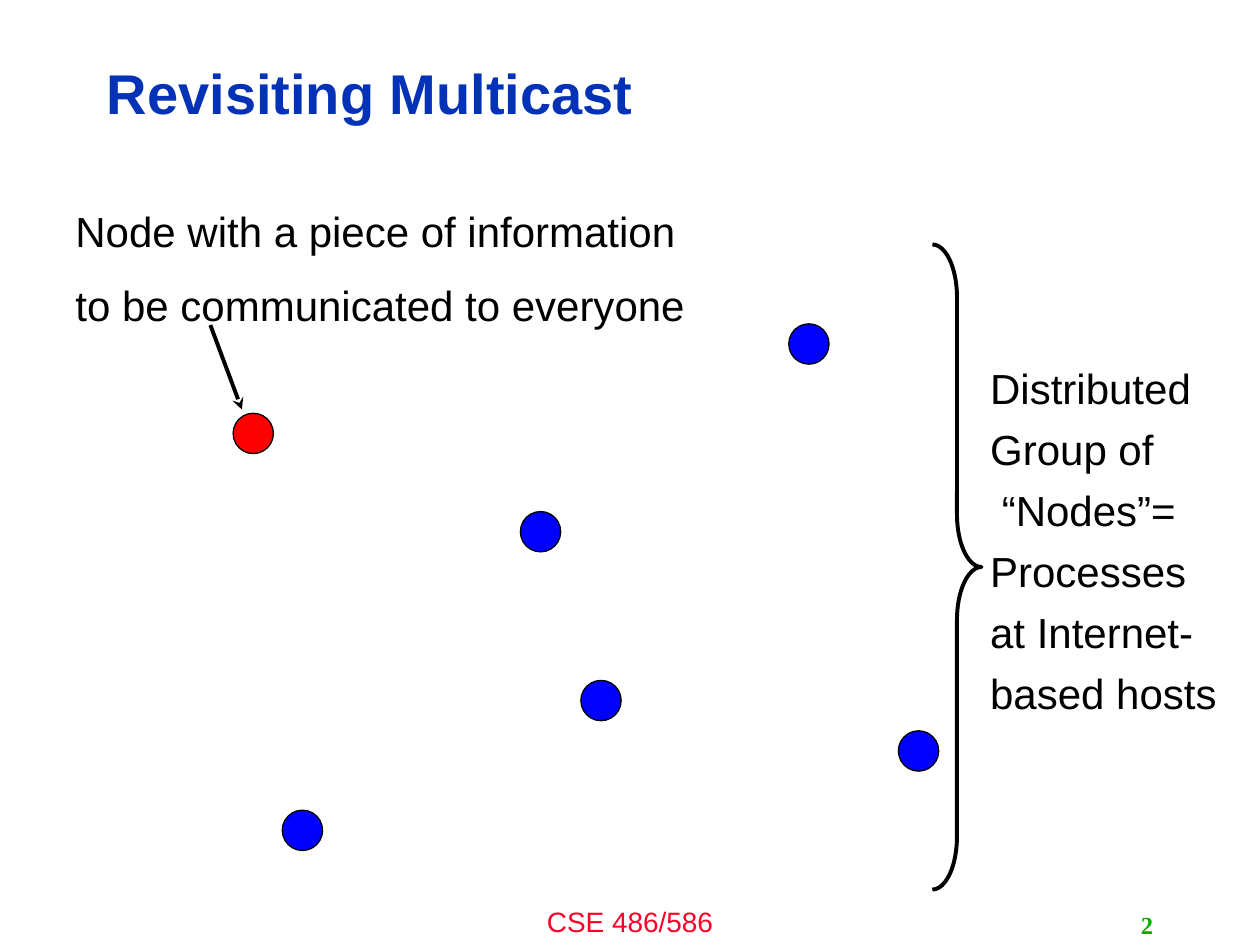
from lxml import etree
from pptx import Presentation
from pptx.dml.color import RGBColor
from pptx.enum.shapes import MSO_CONNECTOR, MSO_SHAPE
from pptx.enum.text import MSO_ANCHOR, PP_ALIGN
from pptx.oxml.ns import qn
from pptx.util import Inches, Pt

LEFT, MID, RIGHT = PP_ALIGN.LEFT, PP_ALIGN.CENTER, PP_ALIGN.RIGHT
TOP, CENTER = MSO_ANCHOR.TOP, MSO_ANCHOR.MIDDLE
OVAL, BRACE = MSO_SHAPE.OVAL, MSO_SHAPE.RIGHT_BRACE
STRAIGHT = MSO_CONNECTOR.STRAIGHT

COLORS = {"title": "0332B7", "footer": "FC0128", "page": "00AE00",
          "ink": "000000", "source": "FF0000", "node": "0000FF"}
DOT = 0.32
NODES = [(1.85, 3.28, "source"), (4.61, 5.4, "node"), (2.24, 6.43, "node"),
         (7.13, 5.8, "node"), (4.13, 4.06, "node"), (6.26, 2.57, "node")]


def paint(color):
    return RGBColor.from_string(COLORS[color])


def add_text(slide, box, lines, size, color="ink", font="Arial", bold=False,
             align=LEFT, anchor=TOP, wrap=True, gap=0, pitch=None):
    frame = slide.shapes.add_textbox(*map(Inches, box)).text_frame
    frame.word_wrap = wrap
    frame.vertical_anchor = anchor
    frame.text = "\n".join(lines)
    for para in frame.paragraphs:
        para.alignment = align
        para.space_before = Pt(gap)
        para.line_spacing = pitch
        for run in para.runs:
            run.font.size = Pt(size)
            run.font.name = font
            run.font.bold = bold
            run.font.color.rgb = paint(color)


def add_shape(slide, kind, box, width, fill=None):
    shape = slide.shapes.add_shape(kind, *map(Inches, box))
    shape.shadow.inherit = False
    shape.line.color.rgb = paint("ink")
    shape.line.width = Pt(width)
    if fill:
        shape.fill.solid()
        shape.fill.fore_color.rgb = paint(fill)
    else:
        shape.fill.background()
    return shape


def add_arrow(slide, start, end):
    arrow = slide.shapes.add_connector(STRAIGHT, *map(Inches, start + end))
    arrow.line.color.rgb = paint("ink")
    arrow.line.width = Pt(2.25)
    line = arrow.line._get_or_add_ln()
    etree.SubElement(line, qn("a:tailEnd"), type="stealth")
    etree.SubElement(arrow._element.spPr, qn("a:effectLst"))


def add_frame(slide, width, height):
    # Title, footer and page number
    add_text(slide, (0.75, 0.36, 7.98, 0.81), ["Revisiting Multicast"], 32,
             "title", bold=True, anchor=CENTER, pitch=0.9)
    add_text(slide, (width / 3, height - 0.37, width / 3, 0.37),
             ["CSE 486/586"], 16, "footer", align=MID)
    add_text(slide, (width - 2.83, height - 0.32, 2.08, 0.32), ["2"], 14,
             "page", "Times New Roman", True, RIGHT, CENTER)


def add_nodes(slide):
    for left, top, fill in NODES:
        add_shape(slide, OVAL, (left, top, DOT, DOT), 0.75, fill)


def add_group(slide, left, top):
    # Brace and the label to its right
    brace = add_shape(slide, BRACE, (left, top, 0.39, 5.12), 2.25)
    brace.adjustments[0] = 1.08
    add_text(slide, (left + 0.36, top + 0.89, 2.02, 2.93),
             ["Distributed", "Group of", " “Nodes”=", "Processes",
              "at Internet-", "based hosts"], 24, wrap=False, gap=6)


def add_note(slide, left, top):
    # Caption with an arrow to the source node
    add_text(slide, (left, top, 5.09, 1.11),
             ["Node with a piece of information",
              "to be communicated to everyone"], 24, wrap=False, gap=13.5)
    add_arrow(slide, (left + 1.17, top + 1), (left + 1.42, top + 1.67))


def main():
    deck = Presentation()
    width, height = 10, 7.5
    deck.slide_width, deck.slide_height = Inches(width), Inches(height)
    slide = deck.slides.add_slide(deck.slide_layouts[6])
    add_frame(slide, width, height)
    add_nodes(slide)
    add_group(slide, 7.4, 1.94)
    add_note(slide, 0.5, 1.58)
    deck.save("out.pptx")


main()
